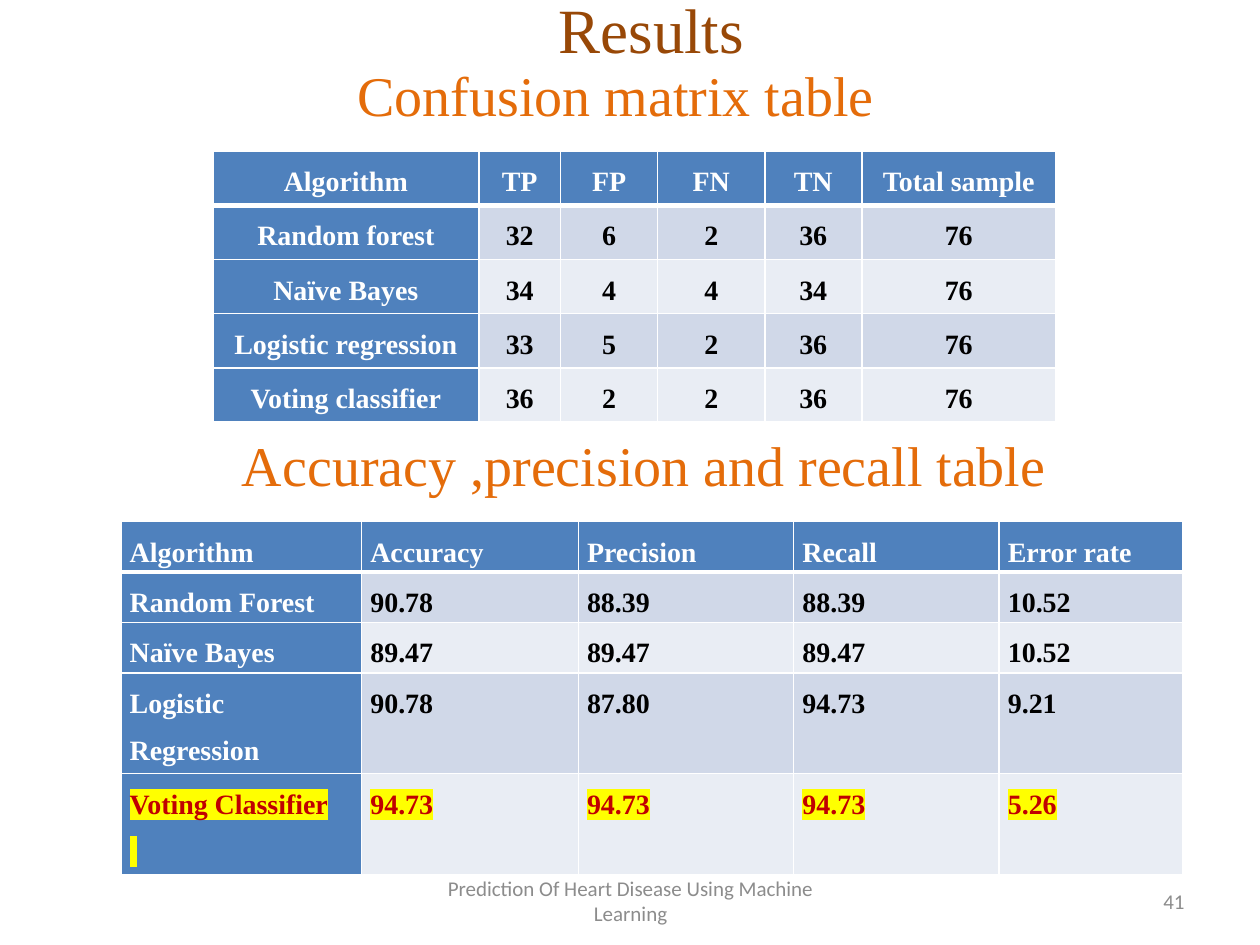
from lxml import etree
from pptx import Presentation
from pptx.dml import color
from pptx.enum import text
from pptx.oxml import ns
from pptx.util import Inches, Pt

SERIF = "Times New Roman"
WHITE, BLACK = "FFFFFF", "000000"
ALIGN = text.PP_ALIGN


def rgb(value):
    return color.RGBColor.from_string(value)


def write(frame, content, size, hue, font=SERIF, bold=False, align=ALIGN.CENTER,
          spacing=None, highlight=None):
    frame.word_wrap = True
    for index, line in enumerate(content.split("\n")):
        paragraph = frame.add_paragraph() if index else frame.paragraphs[0]
        paragraph.alignment = align
        if spacing:
            paragraph.line_spacing = spacing
        run = paragraph.add_run()
        run.text = line
        run.font.size = Pt(size)
        run.font.bold = bold
        run.font.name = font
        run.font.color.rgb = rgb(hue)
        if highlight:
            marker = etree.Element(ns.qn("a:highlight"))
            etree.SubElement(marker, ns.qn("a:srgbClr"), val=highlight)
            run.font._element.find(ns.qn("a:solidFill")).addnext(marker)


def draw_borders(cell, widths):
    properties = cell._tc.get_or_add_tcPr()
    for index, (side, width) in enumerate(widths.items()):
        border = etree.Element(ns.qn(f"a:ln{side}"), w=str(Pt(width)))
        fill = etree.SubElement(border, ns.qn("a:solidFill"))
        etree.SubElement(fill, ns.qn("a:srgbClr"), val=WHITE)
        properties.insert(index, border)


class ResultsSlide:
    header_fill = "4F81BD"
    band_fills = ("E9EDF4", "D0D8E8")
    title_color = "984807"
    heading_color = "E46C0A"
    footer_color = "8C8C8C"

    def __init__(self, presentation):
        self.slide = presentation.slides.add_slide(presentation.slide_layouts[5])

    def title(self, content, left, top, width, height):
        title = self.slide.shapes.title
        title.left, title.top = Inches(left), Inches(top)
        title.width, title.height = Inches(width), Inches(height)
        title.text_frame.vertical_anchor = text.MSO_ANCHOR.MIDDLE
        write(title.text_frame, content, 36, self.title_color)

    def label(self, left, top, width, height):
        box = self.slide.shapes.add_textbox(
            Inches(left), Inches(top), Inches(width), Inches(height))
        return box.text_frame

    def heading(self, content, left, top, width, right_inset):
        frame = self.label(left, top, width, 0.64)
        frame.margin_right = Inches(right_inset)
        write(frame, content, 32, self.heading_color)

    def footer(self, content, left, width, align):
        frame = self.label(left, 6.95, width, 0.4)
        frame.vertical_anchor = text.MSO_ANCHOR.MIDDLE
        write(frame, content, 12, self.footer_color, font="Calibri", align=align)

    def table(self, rows, left, top, widths, heights, align, marked_row=None):
        table = self.slide.shapes.add_table(
            len(rows), len(widths), Inches(left), Inches(top),
            Inches(sum(widths)), Inches(sum(heights))).table
        for column, width in zip(table.columns, widths):
            column.width = Inches(width)
        for row, height in zip(table.rows, heights):
            row.height = Inches(height)
        for r, values in enumerate(rows):
            for c, value in enumerate(values):
                self.cell(table.cell(r, c), value, r, c, align, r == marked_row)

    def cell(self, cell, value, row, column, align, marked):
        is_header = row == 0 or column == 0
        cell.margin_left = cell.margin_right = Inches(0.07)
        cell.margin_top = cell.margin_bottom = 0
        cell.fill.solid()
        cell.fill.fore_color.rgb = rgb(
            self.header_fill if is_header else self.band_fills[row % 2])
        draw_borders(cell, {"L": 1, "R": 1, "T": 3 if row == 1 else 1,
                            "B": 3 if row == 0 else 1})
        hue = "C00000" if marked else WHITE if is_header else BLACK
        write(cell.text_frame, value, 16, hue, bold=True, align=align,
              spacing=1.5, highlight="FFFF00" if marked else None)


def main():
    presentation = Presentation()
    presentation.slide_width, presentation.slide_height = Inches(10), Inches(7.5)
    results = ResultsSlide(presentation)

    results.title("Results", 0.67, -0.4, 9, 1.25)
    confusion_matrix = [
        ("Algorithm", "TP", "FP", "FN", "TN", "Total sample"),
        ("Random forest", "32", "6", "2", "36", "76"),
        ("Naïve Bayes", "34", "4", "4", "34", "76"),
        ("Logistic regression", "33", "5", "2", "36", "76"),
        ("Voting classifier", "36", "2", "2", "36", "76"),
    ]
    results.table(confusion_matrix, 1.69, 1.2, (2.11, 0.65, 0.77, 0.85, 0.77, 1.54),
                  [0.43] * 5, ALIGN.CENTER)
    results.footer("Prediction Of Heart Disease Using Machine Learning",
                   3.42, 3.17, ALIGN.CENTER)
    results.footer("41", 7.17, 2.33, ALIGN.RIGHT)
    scores = [
        ("Algorithm", "Accuracy", "Precision", "Recall", "Error rate"),
        ("Random Forest", "90.78", "88.39", "88.39", "10.52"),
        ("Naïve Bayes", "89.47", "89.47", "89.47", "10.52"),
        ("Logistic Regression", "90.78", "87.80", "94.73", "9.21"),
        ("Voting Classifier\n ", "94.73", "94.73", "94.73", "5.26"),
    ]
    results.table(scores, 0.96, 4.14, (1.91, 1.72, 1.71, 1.63, 1.46),
                  [0.37] * 4 + [0.42], ALIGN.JUSTIFY, marked_row=4)
    results.heading("Confusion matrix table", 0.06, 0.43, 9.88, 0.32)
    results.heading("Accuracy ,precision and recall table", 0.17, 3.37, 10, 0.21)

    presentation.save("out.pptx")


if __name__ == "__main__":
    main()
